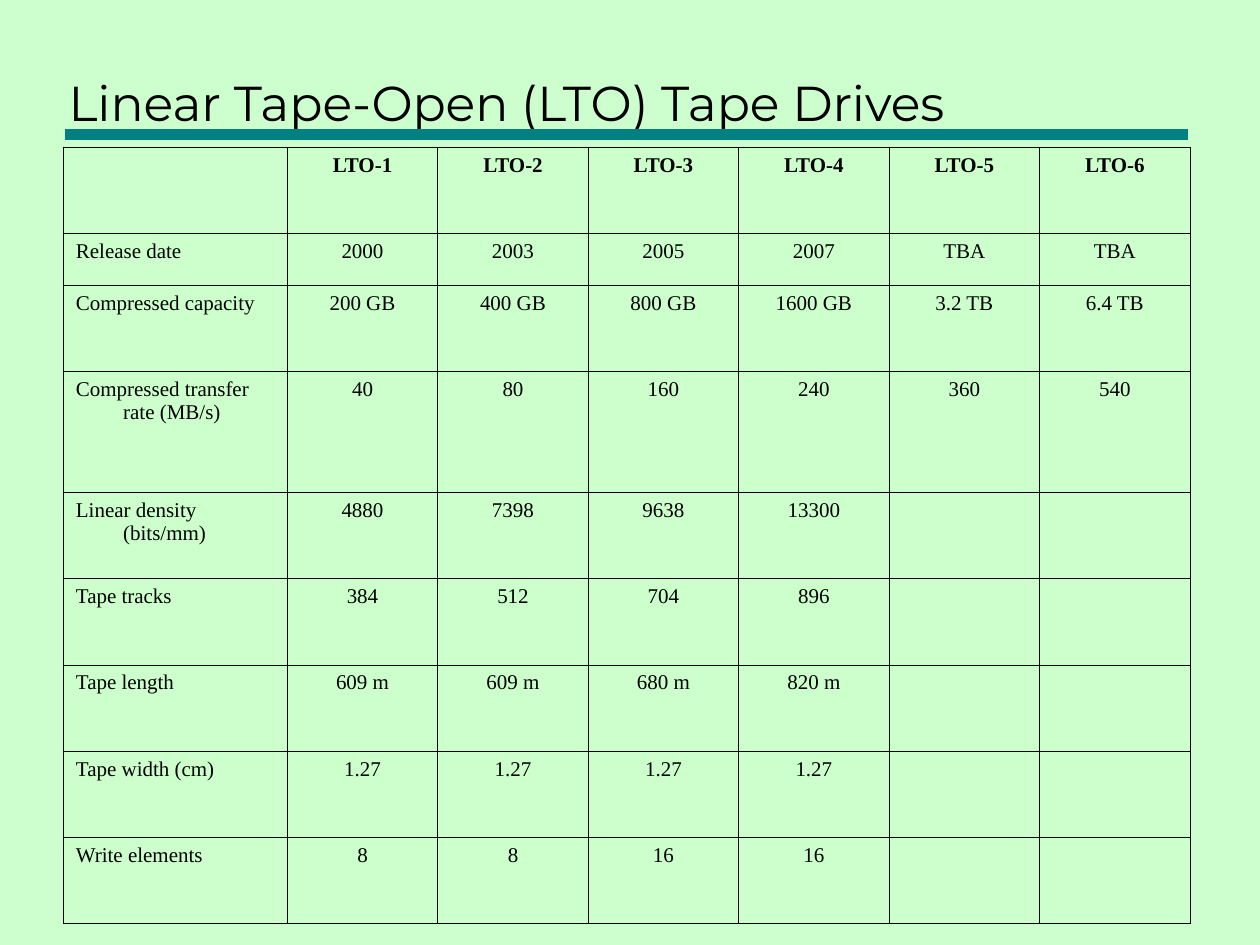
from dataclasses import dataclass

from lxml import etree
from pptx import Presentation
from pptx.dml.color import RGBColor
from pptx.enum import shapes, text
from pptx.oxml import ns
from pptx.util import Pt


@dataclass(frozen=True)
class Theme:
    background: str = "CDFFCE"
    cell: str = "CCFFCC"
    ink: str = "000000"
    accent: str = "008080"
    title_font: str = "Montserrat"
    table_font: str = "Times New Roman"
    title_size: float = 28
    table_size: float = 12
    rule_width: float = 6
    border_width: float = 0.45


THEME = Theme()
TITLE = "Linear Tape-Open (LTO) Tape Drives"
GENERATIONS = [f"LTO-{number}" for number in range(1, 7)]
SPECIFICATIONS = [
    ["", *GENERATIONS],
    ["Release date", "2000", "2003", "2005", "2007", "TBA", "TBA"],
    ["Compressed capacity", "200 GB", "400 GB", "800 GB", "1600 GB", "3.2 TB", "6.4 TB"],
    ["Compressed transfer rate (MB/s)", "40", "80", "160", "240", "360", "540"],
    ["Linear density (bits/mm)", "4880", "7398", "9638", "13300"],
    ["Tape tracks", "384", "512", "704", "896"],
    ["Tape length", "609 m", "609 m", "680 m", "820 m"],
    ["Tape width (cm)", "1.27", "1.27", "1.27", "1.27"],
    ["Write elements", "8", "8", "16", "16"],
]
LABEL_WIDTH = 128
ROW_HEIGHT = 49.3
SPECIAL_HEIGHTS = {1: 29.6, 3: 69}
HANGING_INDENT = 27


def apply_format(target, values):
    for name, value in values.items():
        setattr(target, name, value)


def format_font(font, name, size, bold=False):
    apply_format(font, {"name": name, "size": Pt(size), "bold": bold})
    font.color.rgb = RGBColor.from_string(THEME.ink)


def add_title(slide, left, top, width, height):
    title = slide.shapes.title
    apply_format(title, {"left": Pt(left), "top": Pt(top),
                         "width": Pt(width), "height": Pt(height)})
    frame = title.text_frame
    apply_format(frame, {"text": TITLE, "word_wrap": True,
                         "auto_size": text.MSO_AUTO_SIZE.NONE,
                         "vertical_anchor": text.MSO_ANCHOR.BOTTOM})
    paragraph = frame.paragraphs[0]
    paragraph.alignment = text.PP_ALIGN.LEFT
    format_font(paragraph.runs[0].font, THEME.title_font, THEME.title_size)


def add_rule(slide, left, top, width):
    rule = slide.shapes.add_connector(
        shapes.MSO_CONNECTOR.STRAIGHT, Pt(left), Pt(top), Pt(left + width), Pt(top))
    rule.line.width = Pt(THEME.rule_width)
    rule.line.color.rgb = RGBColor.from_string(THEME.accent)
    etree.SubElement(rule._element.spPr, ns.qn("a:effectLst"))


def add_borders(cell):
    properties = cell._tc.get_or_add_tcPr()
    for position, side in enumerate(("lnL", "lnR", "lnT", "lnB")):
        line = etree.Element(ns.qn(f"a:{side}"), w=str(Pt(THEME.border_width)))
        fill = etree.SubElement(line, ns.qn("a:solidFill"))
        etree.SubElement(fill, ns.qn("a:srgbClr"), val=THEME.ink)
        properties.insert(position, line)


def format_cell(cell, words, is_label, is_header):
    if is_label and is_header:
        cell.fill.background()
    else:
        cell.fill.solid()
        cell.fill.fore_color.rgb = RGBColor.from_string(THEME.cell)
    add_borders(cell)
    if not words:
        return
    cell.text = words
    paragraph = cell.text_frame.paragraphs[0]
    paragraph.alignment = text.PP_ALIGN.LEFT if is_label else text.PP_ALIGN.CENTER
    # Hanging indent: wrapped label lines start further right
    properties = paragraph._p.get_or_add_pPr()
    properties.set("marL", str(Pt(HANGING_INDENT)))
    properties.set("indent", str(-Pt(HANGING_INDENT)))
    format_font(paragraph.runs[0].font, THEME.table_font, THEME.table_size, is_header)


def add_specifications(slide, left, top, width):
    heights = [SPECIAL_HEIGHTS.get(index, ROW_HEIGHT)
               for index in range(len(SPECIFICATIONS))]
    columns = len(GENERATIONS) + 1
    table = slide.shapes.add_table(len(heights), columns, Pt(left), Pt(top),
                                   Pt(width), Pt(sum(heights))).table
    apply_format(table, {"first_row": False, "horz_banding": False})
    generation_width = (width - LABEL_WIDTH) / len(GENERATIONS)
    for index, column in enumerate(table.columns):
        column.width = Pt(generation_width if index else LABEL_WIDTH)
    for row_index, (height, words) in enumerate(zip(heights, SPECIFICATIONS)):
        table.rows[row_index].height = Pt(height)
        padded = words + [""] * (columns - len(words))
        for column_index, value in enumerate(padded):
            format_cell(table.cell(row_index, column_index), value,
                        column_index == 0, row_index == 0)


def main():
    presentation = Presentation()
    apply_format(presentation, {"slide_width": Pt(720), "slide_height": Pt(540)})
    slide = presentation.slides.add_slide(presentation.slide_layouts[5])
    slide.background.fill.solid()
    slide.background.fill.fore_color.rgb = RGBColor.from_string(THEME.background)

    # Heading with its rule, then the table below
    add_rule(slide, 37, 77, 642)
    add_title(slide, 32, 12, 646, 66.5)
    add_specifications(slide, 36.2, 84.2, 644)
    presentation.save("out.pptx")


if __name__ == "__main__":
    main()
